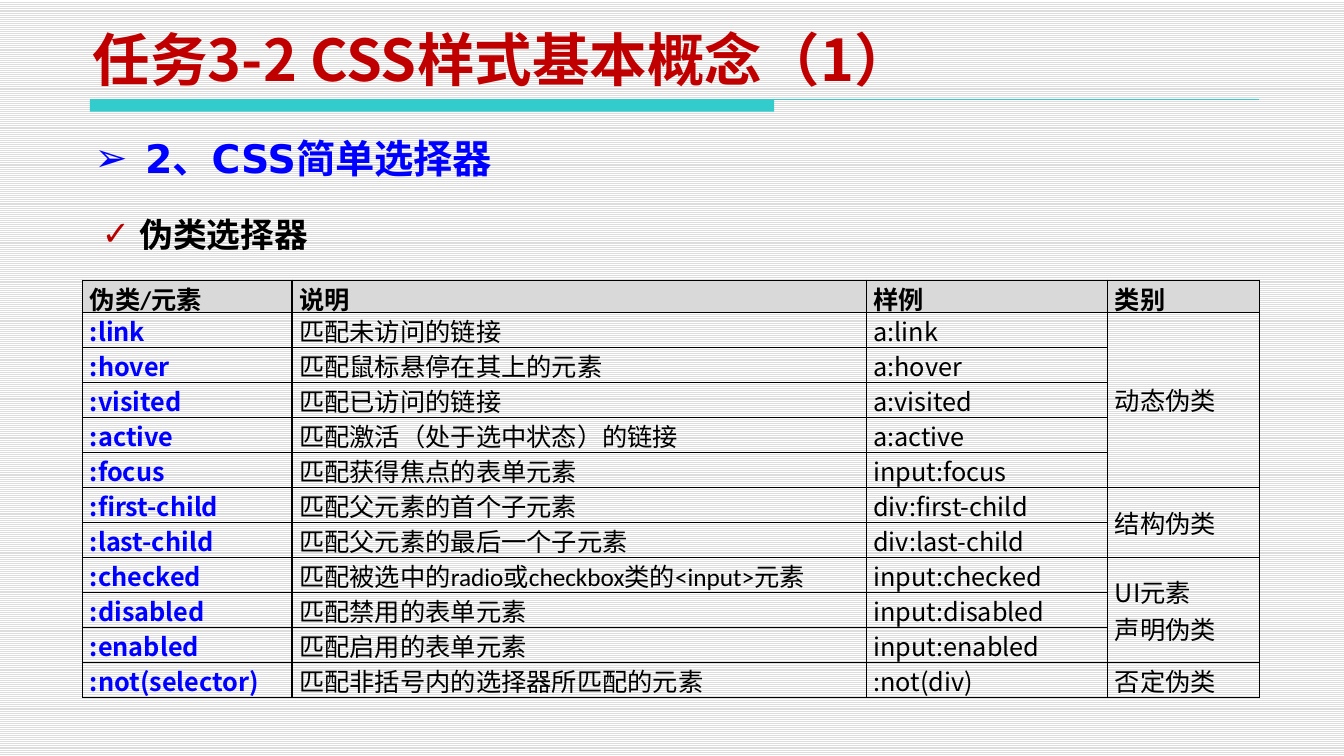
from lxml import etree
from pptx import Presentation
from pptx.dml.color import RGBColor
from pptx.enum import dml, shapes, text
from pptx.oxml import ns
from pptx.util import Cm, Pt

# Content
TITLE = "任务3-2 CSS样式基本概念（1）"
TOPIC = "2、CSS简单选择器"
SECTION = "伪类选择器"
HEADER = ("伪类/元素", "说明", "样例", "类别")
SELECTORS = [
    (":link", "匹配未访问的链接", "a:link"),
    (":hover", "匹配鼠标悬停在其上的元素", "a:hover"),
    (":visited", "匹配已访问的链接", "a:visited"),
    (":active", "匹配激活（处于选中状态）的链接", "a:active"),
    (":focus", "匹配获得焦点的表单元素", "input:focus"),
    (":first-child", "匹配父元素的首个子元素", "div:first-child"),
    (":last-child", "匹配父元素的最后一个子元素", "div:last-child"),
    (":checked", "匹配被选中的radio或checkbox类的<input>元素", "input:checked"),
    (":disabled", "匹配禁用的表单元素", "input:disabled"),
    (":enabled", "匹配启用的表单元素", "input:enabled"),
    (":not(selector)", "匹配非括号内的选择器所匹配的元素", ":not(div)"),
]
# Category text and the number of rows it covers
CATEGORIES = [("动态伪类", 5), ("结构伪类", 2), ("UI元素\n声明伪类", 3), ("否定伪类", 1)]

# Look
CJK, LATIN, TOPIC_FONT = "Noto Sans CJK SC", "Calibri", "DejaVu Sans"
RED, TICK_RED, BLUE, BLACK = "C00000", "B90000", "0000FF", "000000"
TEAL, GREY, WHITE, STRIPE = "33CCCC", "D9D9D9", "FFFFFF", "DDDDDD"
COLUMNS = (5.26, 14.43, 6.07, 3.81)
HEADER_HEIGHT, ROW_HEIGHT, TABLE_HEIGHT = 0.81, 0.88, 10.46


def color(value):
    return RGBColor.from_string(value)


def add_xml(parent, tag, **attributes):
    return etree.SubElement(parent, ns.qn(tag), attributes)


def style(span, size, font, ink, bold):
    span.font.size, span.font.name, span.font.bold = Pt(size), font, bold
    span.font.color.rgb = color(ink)
    add_xml(span.font._element, "a:ea", typeface=CJK)


def write(frame, content, size, font, ink, bold, align=None):
    frame.text = content
    for para in frame.paragraphs:
        para.alignment = align
        for span in para.runs:
            style(span, size, font, ink, bold)


def add_text(page, place, content, size, font, ink, align=None):
    frame = page.shapes.add_textbox(*map(Cm, place)).text_frame
    frame.word_wrap = True
    write(frame, content, size, font, ink, True, align)
    return frame


def add_bullet(para, sign, ink, indent):
    props = para._p.get_or_add_pPr()
    props.set("marL", str(Cm(indent)))
    props.set("indent", str(-Cm(indent)))
    add_xml(add_xml(props, "a:buClr"), "a:srgbClr", val=ink)
    add_xml(props, "a:buFont", typeface=TOPIC_FONT)
    add_xml(props, "a:buChar", char=sign)


def add_borders(cell):
    props = cell._tc.get_or_add_tcPr()
    for side in ("a:lnL", "a:lnR", "a:lnT", "a:lnB"):
        line = add_xml(props, side, w=str(Pt(1)))
        add_xml(add_xml(line, "a:solidFill"), "a:srgbClr", val=BLACK)


def fill_cell(cell, content, font=LATIN, ink=BLACK, bold=False, middle=True):
    cell.vertical_anchor = text.MSO_ANCHOR.MIDDLE if middle else text.MSO_ANCHOR.TOP
    write(cell.text_frame, content, 18, font, ink, bold, text.PP_ALIGN.JUSTIFY)


deck = Presentation()
deck.slide_width, deck.slide_height = Cm(33.78), Cm(19)
page = deck.slides.add_slide(deck.slide_layouts[6])

# Striped background
backdrop = page.background.fill
backdrop.patterned()
backdrop.pattern = dml.MSO_PATTERN.LIGHT_HORIZONTAL
backdrop.fore_color.rgb, backdrop.back_color.rgb = color(STRIPE), color(WHITE)

# Rule under the title: thick bar and thin line
bar = page.shapes.add_shape(shapes.MSO_SHAPE.RECTANGLE, Cm(2.26), Cm(2.51), Cm(17.2), Cm(0.3))
bar.shadow.inherit = False
bar.fill.solid()
bar.fill.fore_color.rgb = color(TEAL)
bar.line.fill.background()
rule = page.shapes.add_connector(
    shapes.MSO_CONNECTOR.STRAIGHT, Cm(2.26), Cm(2.51), Cm(31.65), Cm(2.51))
rule.line.color.rgb, rule.line.width = color(TEAL), Pt(0.75)
add_xml(rule._element.spPr, "a:effectLst")

# Headings
title = add_text(page, (2.08, 0.71, 24.61, 1.75), TITLE, 41, CJK, RED)
title.vertical_anchor = text.MSO_ANCHOR.BOTTOM
topic = add_text(page, (2.13, 3.25, 21.59, 1.47), TOPIC, 28, TOPIC_FONT, BLUE,
                 text.PP_ALIGN.JUSTIFY)
add_bullet(topic.paragraphs[0], "➢", BLUE, 1.27)
section = add_text(page, (2.31, 4.75, 29.12, 1.55), SECTION, 24, CJK, BLACK)
section.paragraphs[0].line_spacing = 1.5
add_bullet(section.paragraphs[0], "✓", TICK_RED, 0.95)

# Table grid
holder = page.shapes.add_table(len(SELECTORS) + 1, len(COLUMNS), Cm(2.08), Cm(7.04),
                               Cm(sum(COLUMNS)), Cm(TABLE_HEIGHT))
table = holder.table
for column, width in zip(table.columns, COLUMNS):
    column.width = Cm(width)
for index, row in enumerate(table.rows):
    row.height = Cm(ROW_HEIGHT if index else HEADER_HEIGHT)
    for cell in row.cells:
        add_borders(cell)
        cell.margin_left = cell.margin_right = Cm(0.18)
        cell.margin_top = cell.margin_bottom = 0
        if index:
            cell.fill.background()
        else:
            cell.fill.solid()
            cell.fill.fore_color.rgb = color(GREY)
holder.height = Cm(TABLE_HEIGHT)

# Table text
for index, label in enumerate(HEADER):
    fill_cell(table.cell(0, index), label, bold=True, middle=False)
for index, (selector, meaning, example) in enumerate(SELECTORS, 1):
    fill_cell(table.cell(index, 0), selector, CJK, BLUE, True)
    fill_cell(table.cell(index, 1), meaning)
    fill_cell(table.cell(index, 2), example, CJK, middle=False)
top = 1
for category, count in CATEGORIES:
    cell = table.cell(top, 3)
    if count > 1:
        cell.merge(table.cell(top + count - 1, 3))
    fill_cell(cell, category, CJK if "UI" in category else LATIN, middle=count > 1)
    top += count

deck.save("out.pptx")
